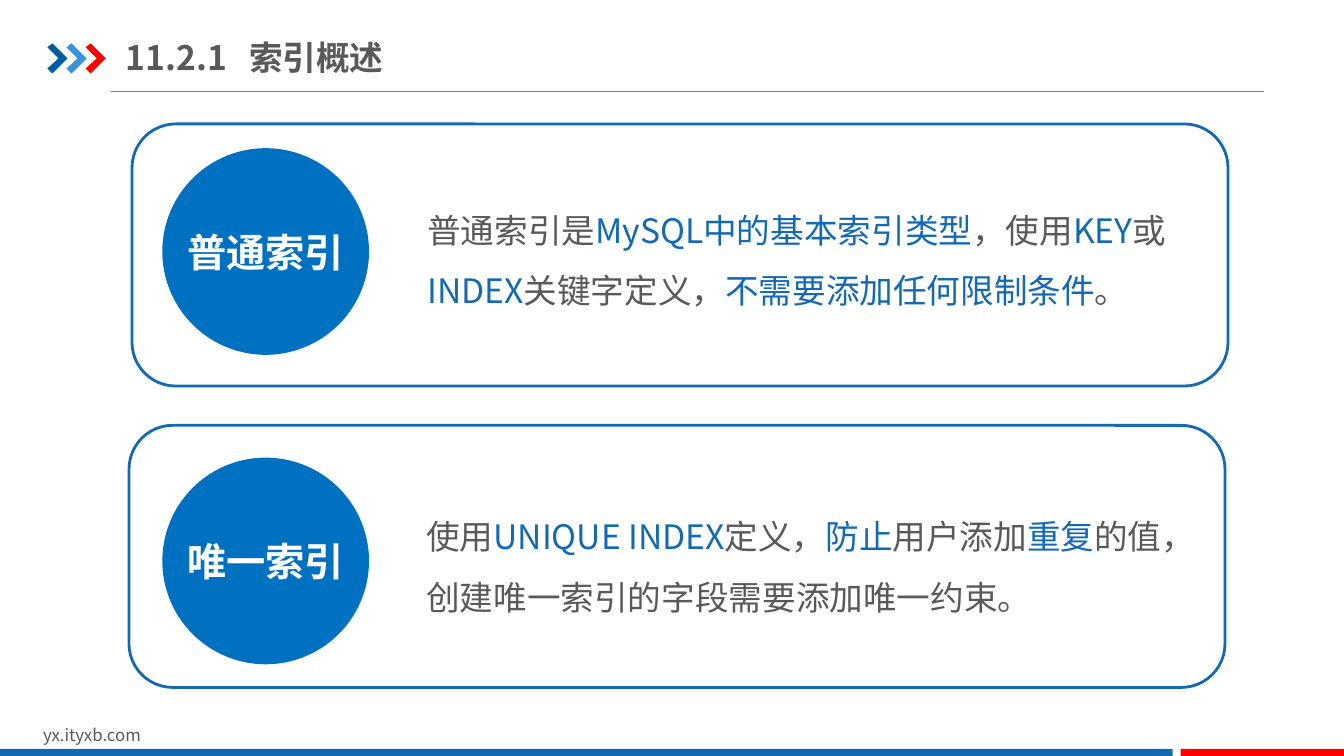
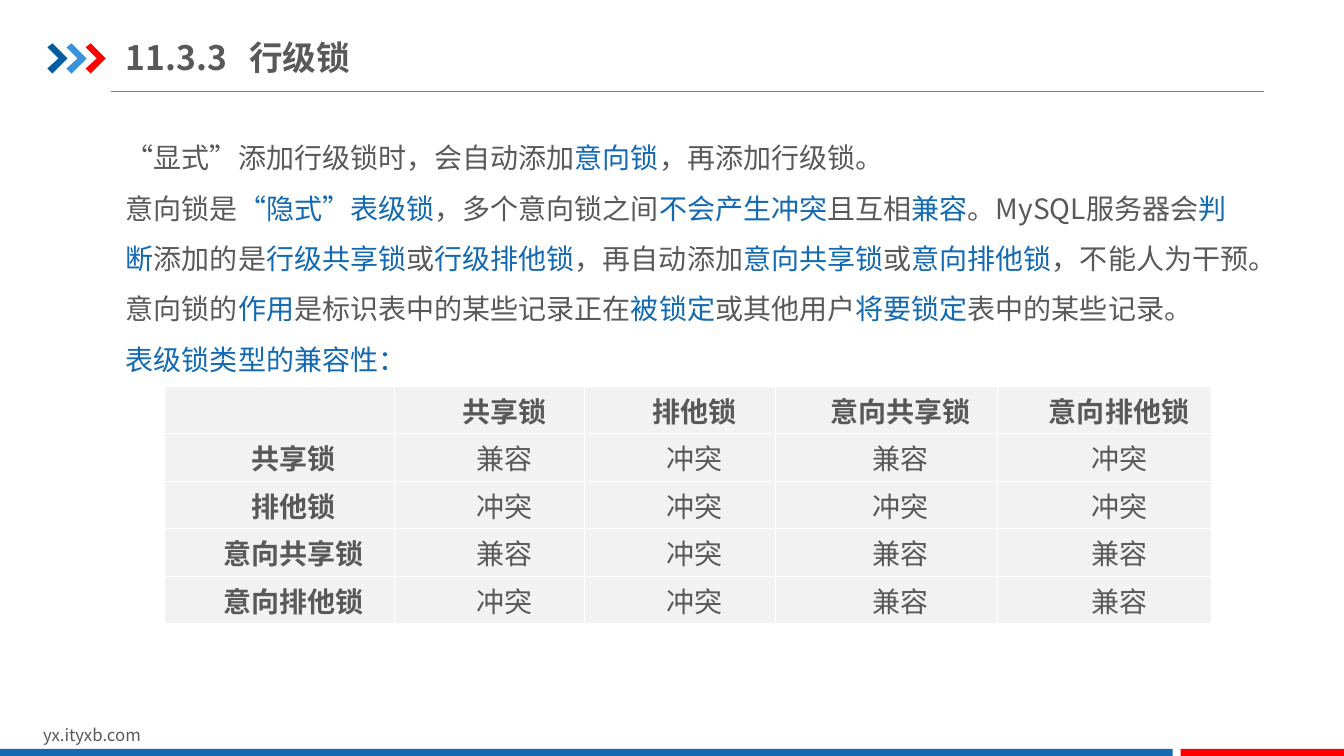
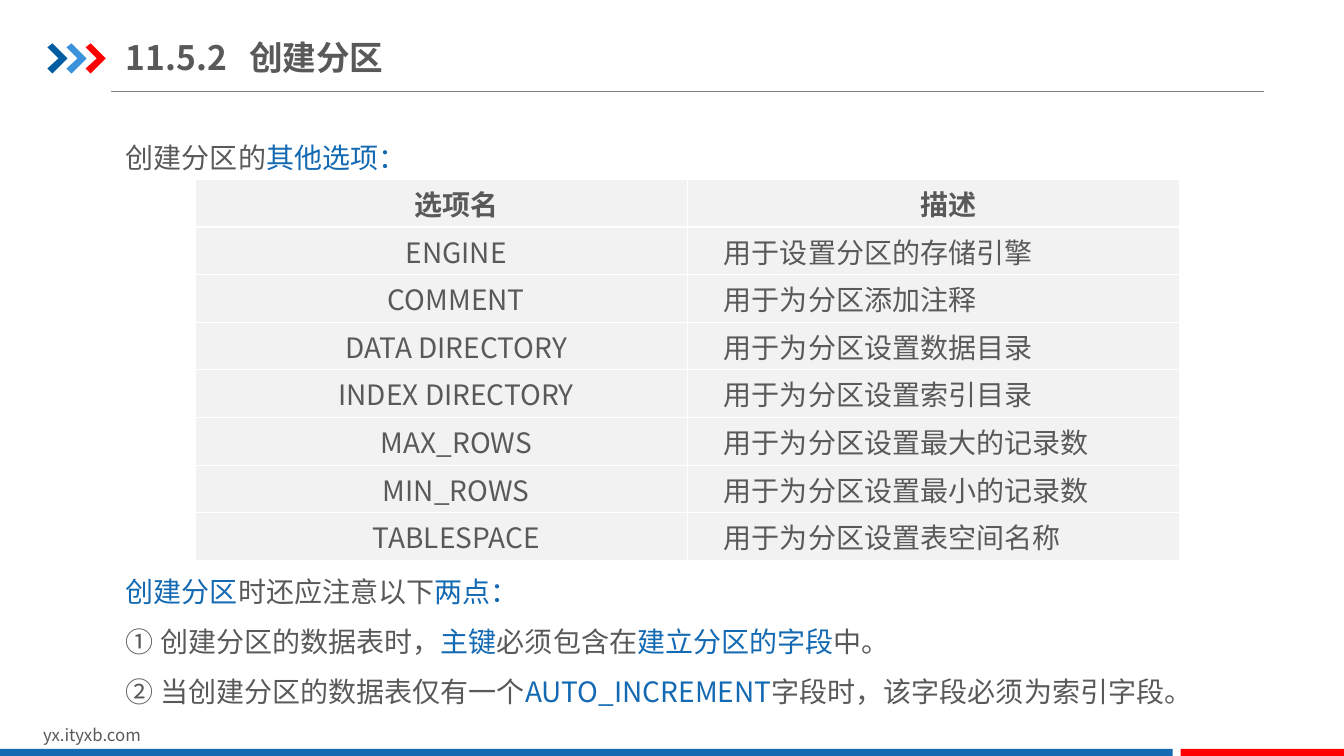
"""Build three database lesson slides: index types, row-level locks and partition options."""
import pptx
import pptx.dml.color
import pptx.enum.lang
import pptx.enum.shapes
import pptx.enum.text
import pptx.oxml.ns
import pptx.util
import lxml.etree

PX = 9144
FONT = "Noto Sans CJK SC"
GRAY = pptx.dml.color.RGBColor(0x59, 0x59, 0x59)
RULE_GRAY = pptx.dml.color.RGBColor(0x80, 0x80, 0x80)
CELL_GRAY = pptx.dml.color.RGBColor(0xF2, 0xF2, 0xF2)
WHITE = pptx.dml.color.RGBColor(0xFF, 0xFF, 0xFF)
BLUE = pptx.dml.color.RGBColor(0x13, 0x69, 0xB2)
CIRCLE_BLUE = pptx.dml.color.RGBColor(0x00, 0x70, 0xC0)
DARK_BLUE = pptx.dml.color.RGBColor(0x00, 0x5D, 0xA2)
LIGHT_BLUE = pptx.dml.color.RGBColor(0x39, 0x92, 0xDB)
RED = pptx.dml.color.RGBColor(0xFF, 0x00, 0x00)

SHAPE = pptx.enum.shapes.MSO_SHAPE
ALIGN = pptx.enum.text.PP_ALIGN
ANCHOR = pptx.enum.text.MSO_ANCHOR
GROW = pptx.enum.text.MSO_AUTO_SIZE.SHAPE_TO_FIT_TEXT
CHINESE = pptx.enum.lang.MSO_LANGUAGE_ID.SIMPLIFIED_CHINESE
qn = pptx.oxml.ns.qn


def write(frame, text, size=20, color=GRAY, bold=False, align=ALIGN.LEFT, spacing=None, indent=0, tab=0):
    """Fill a text frame; newlines part paragraphs and bars enclose highlighted words."""
    for number, line in enumerate(text.split("\n")):
        paragraph = frame.add_paragraph() if number else frame.paragraphs[0]
        paragraph.alignment = align
        properties = paragraph._p.get_or_add_pPr()
        if indent:
            properties.set("marL", "0")
            properties.set("indent", str(indent * PX))
        if tab:
            stops = lxml.etree.SubElement(properties, qn("a:tabLst"))
            lxml.etree.SubElement(stops, qn("a:tab"), pos=str(tab * PX), algn="l")
        if spacing:
            paragraph.line_spacing = spacing
        for position, words in enumerate(line.split("|")):
            if words:
                run = paragraph.add_run()
                run.text = words
                run.font.size = pptx.util.Pt(size)
                run.font.bold = bold
                run.font.color.rgb = BLUE if position % 2 else color
                run.font.name = FONT
                run.font.language_id = CHINESE
                lxml.etree.SubElement(run._r.rPr, qn("a:ea"), typeface=FONT)


def add_grid(slide, box, widths, rows, aligns, bold_columns):
    """Add a gray table with white rules and a bold header row."""
    grid = slide.shapes.add_table(len(rows), len(widths), *[side * PX for side in box]).table
    grid.first_row = grid.horz_banding = False
    for column, width in zip(grid.columns, widths):
        column.width = width * PX
    for r, row in enumerate(rows):
        for c, words in enumerate(row):
            cell = grid.cell(r, c)
            cell.vertical_anchor = ANCHOR.MIDDLE
            cell.margin_left = cell.margin_right = 7 * PX
            cell.margin_top = cell.margin_bottom = 0
            for side in ("a:lnL", "a:lnR", "a:lnT", "a:lnB"):
                border = lxml.etree.SubElement(cell._tc.get_or_add_tcPr(), qn(side), w="12700")
                paint = lxml.etree.SubElement(border, qn("a:solidFill"))
                lxml.etree.SubElement(paint, qn("a:srgbClr"), val=str(WHITE))
            cell.fill.solid()
            cell.fill.fore_color.rgb = CELL_GRAY
            write(cell.text_frame, words, bold=r == 0 or c in bold_columns,
                  align=aligns[c] if r else ALIGN.CENTER, indent=29)


deck = pptx.Presentation()
deck.slide_width = 1333 * PX
deck.slide_height = 750 * PX

slides = []
for title in ("11.2.1\t索引概述", "11.3.3\t行级锁", "11.5.2\t创建分区"):
    slide = deck.slides.add_slide(deck.slide_layouts[6])
    slides.append(slide)

    rule = slide.shapes.add_connector(
        pptx.enum.shapes.MSO_CONNECTOR.STRAIGHT, 110 * PX, 91 * PX, 1254 * PX, 91 * PX)
    rule.line.color.rgb = RULE_GRAY
    rule.line.width = pptx.util.Pt(0.75)
    lxml.etree.SubElement(rule._element.spPr, qn("a:effectLst"))

    decorations = []
    for step, color in enumerate((DARK_BLUE, LIGHT_BLUE, RED)):
        left = 47 + 19 * step
        outline = slide.shapes.build_freeform(left, 47, scale=PX)
        outline.add_line_segments(
            [(left + x, y) for x, y in ((5, 43), (20, 58), (5, 73), (0, 68), (11, 58))], close=True)
        decorations.append((outline.convert_to_shape(), color))
    for left, width, color in ((0, 1163, BLUE), (1171, 162, RED)):
        band = slide.shapes.add_shape(SHAPE.RECTANGLE, left * PX, 743 * PX, width * PX, 7 * PX)
        decorations.append((band, color))
    for decoration, color in decorations:
        decoration.shadow.inherit = False
        decoration.fill.solid()
        decoration.fill.fore_color.rgb = color
        decoration.line.fill.background()

    footer = slide.shapes.add_textbox(33 * PX, 714 * PX, 318 * PX, 30 * PX).text_frame
    footer.word_wrap = True
    write(footer, "yx.ityxb.com", size=12)

    heading = slide.shapes.add_textbox(125 * PX, 29 * PX, 573 * PX, 55 * PX).text_frame
    heading.word_wrap = True
    heading.vertical_anchor = ANCHOR.MIDDLE
    heading.margin_left = heading.margin_right = 0
    heading.margin_top = heading.margin_bottom = 7 * PX
    write(heading, title, size=24, bold=True, tab=122)

index_slide, lock_slide, partition_slide = slides

index_types = (
    ("普通索引", 131, 123, 147),
    ("唯一索引", 128, 422, 454),
)
for name, left, top, circle_top in index_types:
    card = index_slide.shapes.add_shape(
        SHAPE.ROUNDED_RECTANGLE, left * PX, top * PX, 1087 * PX, 260 * PX)
    card.shadow.inherit = False
    card.fill.background()
    card.line.color.rgb = BLUE
    card.line.width = pptx.util.Pt(2)

    circle = index_slide.shapes.add_shape(SHAPE.OVAL, 161 * PX, circle_top * PX, 205 * PX, 205 * PX)
    circle.shadow.inherit = False
    circle.fill.solid()
    circle.fill.fore_color.rgb = CIRCLE_BLUE
    circle.line.fill.background()
    circle.text_frame.word_wrap = False
    circle.text_frame.vertical_anchor = ANCHOR.MIDDLE
    write(circle.text_frame, name, size=28, color=WHITE, bold=True, align=ALIGN.CENTER)

passages = (
    (index_slide, (414, 183, 756, 131), 24,
     "普通索引是|MySQL中的基本索引类型|，使用|KEY|或|INDEX|关键字定义，|不需要添加任何限制条件|。"),
    (index_slide, (413, 487, 788, 124), 24,
     "使用|UNIQUE INDEX|定义，|防止|用户添加|重复|的值，创建唯一索引的字段需要添加唯一约束。"),
    (lock_slide, (115, 118, 1134, 263), 20,
     "“显式”添加行级锁时，会自动添加|意向锁|，再添加行级锁。\n"
     "意向锁是|“隐式”表级锁|，多个意向锁之间|不会产生冲突|且互相|兼容|。MySQL服务器会|判断|添加的是"
     "|行级共享锁|或|行级排他锁|，再自动添加|意向共享锁|或|意向排他锁|，不能人为干预。\n"
     "意向锁的|作用|是标识表中的某些记录正在|被锁定|或其他用户|将要锁定|表中的某些记录。\n"
     "|表级锁类型的兼容性：|"),
    (partition_slide, (115, 118, 1126, 61), 20, "创建分区的|其他选项：|"),
    (partition_slide, (115, 548, 1126, 162), 20,
     "|创建分区|时还应注意以下|两点：|\n"
     "① 创建分区的数据表时，|主键|必须包含在|建立分区的字段|中。\n"
     "② 当创建分区的数据表仅有一个|AUTO_INCREMENT|字段时，该字段必须为索引字段。"),
)
for slide, box, size, text in passages:
    passage = slide.shapes.add_textbox(*[side * PX for side in box]).text_frame
    passage.word_wrap = True
    passage.auto_size = GROW
    write(passage, text, size=size, spacing=1.5)

lock_rows = (
    ("", "共享锁", "排他锁", "意向共享锁", "意向排他锁"),
    ("共享锁", "兼容", "冲突", "兼容", "冲突"),
    ("排他锁", "冲突", "冲突", "冲突", "冲突"),
    ("意向共享锁", "兼容", "冲突", "兼容", "兼容"),
    ("意向排他锁", "冲突", "冲突", "兼容", "兼容"),
)
add_grid(lock_slide, (163, 383, 1039, 236), (228, 189, 189, 220, 213), lock_rows,
         aligns=[ALIGN.CENTER] * 5, bold_columns=(0,))

option_rows = (
    ("选项名", "描述"),
    ("ENGINE", "用于设置分区的存储引擎"),
    ("COMMENT", "用于为分区添加注释"),
    ("DATA DIRECTORY", "用于为分区设置数据目录"),
    ("INDEX DIRECTORY", "用于为分区设置索引目录"),
    ("MAX_ROWS", "用于为分区设置最大的记录数"),
    ("MIN_ROWS", "用于为分区设置最小的记录数"),
    ("TABLESPACE", "用于为分区设置表空间名称"),
)
add_grid(partition_slide, (194, 178, 976, 378), (488, 488), option_rows,
         aligns=[ALIGN.CENTER, ALIGN.LEFT], bold_columns=())

deck.save("out.pptx")
